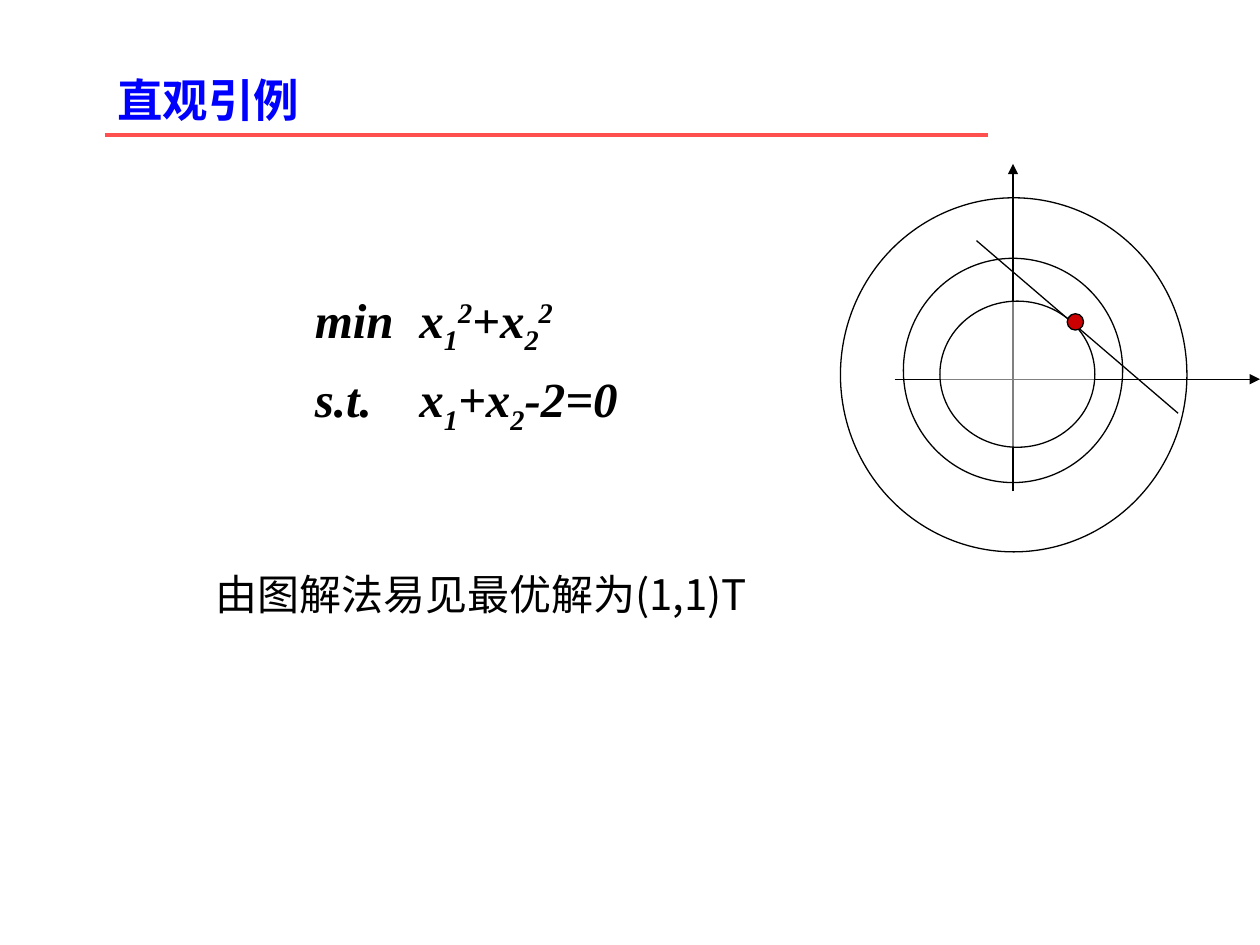
from pptx import Presentation
from pptx import util as u
from pptx.dml.color import RGBColor
from pptx.enum import shapes, text
from pptx.oxml.ns import qn
from lxml import etree

THEME = {
    "cjk": "Noto Sans CJK SC", "math": "Times New Roman",
    "title": "0000FF", "ink": "000000", "rule": "FF5050",
    "ring": "FFFFFF", "optimum": "CC0000",
    "title_size": 26, "math_size": 28, "body_size": 24,
    "thin": 0.75, "thick": 2.25,
}

# Content: formula lines hold (words, baseline percent) pairs
TITLE = "直观引例"
CONCLUSION = "由图解法易见最优解为(1,1)T"
SUB, SUP = -25, 30
FORMULA = [
    [("min\tx", 0), ("1", SUB), ("2", SUP), ("+x", 0), ("2", SUB), ("2", SUP)],
    [("s.t.\tx", 0), ("1", SUB), ("+x", 0), ("2", SUB), ("-2=0", 0)],
]
FORMULA_TAB = 0.83

# Diagram from back to front: ellipses as left, top, width, height
DIAGRAM = [
    ("ring", (6.67, 1.57, 2.75, 2.81)),
    ("ring", (7.17, 2.05, 1.74, 1.78)),
    ("axis", (7.1, 3.01, 10, 3.01)),
    ("axis", (8.04, 3.9, 8.04, 1.3)),
    ("constraint", (7.75, 1.91, 9.35, 3.28)),
    ("ring", (7.46, 2.39, 1.23, 1.16)),
    ("optimum", (8.47, 2.49, 0.13, 0.13)),
]


def colour(name):
    return RGBColor.from_string(THEME[name])


def style(span, face, size, ink="ink", bold=False, italic=False):
    font = span.font
    font.size = u.Pt(THEME[size])
    font.bold, font.italic = bold, italic
    font.color.rgb = colour(ink)
    font.name = THEME[face]
    etree.SubElement(span._r.get_or_add_rPr(), qn("a:ea"), typeface=THEME[face])


def set_frame(box, wrap=True):
    frame = box.text_frame
    frame.word_wrap = wrap
    frame.auto_size = text.MSO_AUTO_SIZE.NONE
    frame.vertical_anchor = text.MSO_ANCHOR.TOP
    frame.margin_left = frame.margin_right = u.Inches(0.1)
    frame.margin_top = frame.margin_bottom = u.Inches(0.05)
    return frame


def add_line(page, ends, ink="ink", weight="thin", arrow=False):
    line = page.shapes.add_connector(
        shapes.MSO_CONNECTOR.STRAIGHT, *map(u.Inches, ends))
    line.line.color.rgb = colour(ink)
    line.line.width = u.Pt(THEME[weight])
    if arrow:
        etree.SubElement(line.line._get_or_add_ln(), qn("a:tailEnd"), type="triangle")
    etree.SubElement(line._element.spPr, qn("a:effectLst"))


def add_ellipse(page, place, fill):
    ellipse = page.shapes.add_shape(
        shapes.MSO_SHAPE.OVAL, *map(u.Inches, place))
    ellipse.shadow.inherit = False
    ellipse.fill.solid()
    ellipse.fill.fore_color.rgb = colour(fill)
    ellipse.line.color.rgb = colour("ink")
    ellipse.line.width = u.Pt(THEME["thin"])
    if fill == "ring":  # half transparent
        shade = ellipse._element.spPr.find(qn("a:solidFill"))[0]
        etree.SubElement(shade, qn("a:alpha"), val="50000")


def add_formula(page):
    box = page.shapes.add_textbox(*map(u.Inches, (2.4, 2.25, 2.91, 1.26)))
    frame = set_frame(box, wrap=False)
    for number, parts in enumerate(FORMULA):
        para = frame.add_paragraph() if number else frame.paragraphs[0]
        para.space_before = u.Pt(7)
        tabs = etree.SubElement(para._p.get_or_add_pPr(), qn("a:tabLst"))
        etree.SubElement(tabs, qn("a:tab"), pos=str(u.Inches(FORMULA_TAB)), algn="l")
        for words, baseline in parts:
            span = para.add_run()
            span.text = words
            style(span, "math", "math_size", bold=True, italic=True)
            if baseline:
                span.font._element.set("baseline", str(baseline * 1000))


def main():
    deck = Presentation()
    deck.slide_width, deck.slide_height = u.Inches(10), u.Inches(7.5)
    page = deck.slides.add_slide(deck.slide_layouts[5])

    # Title and its rule
    title = page.shapes.title
    title.left, title.top, title.width, title.height = map(
        u.Inches, (0.83, 0.52, 1.97, 0.54))
    frame = set_frame(title)
    frame.text = TITLE
    frame.paragraphs[0].alignment = text.PP_ALIGN.LEFT
    style(frame.paragraphs[0].runs[0], "cjk", "title_size", "title", bold=True)
    add_line(page, (0.83, 1.07, 7.84, 1.07), "rule", "thick")

    # Problem and conclusion
    add_formula(page)
    box = page.shapes.add_textbox(*map(u.Inches, (1.61, 4.46, 5.67, 0.5)))
    frame = set_frame(box)
    frame.text = CONCLUSION
    frame.paragraphs[0].space_before = u.Pt(6)
    style(frame.paragraphs[0].runs[0], "cjk", "body_size")

    # Level curves, axes, constraint and optimum
    for kind, place in DIAGRAM:
        if kind in ("ring", "optimum"):
            add_ellipse(page, place, kind)
        else:
            add_line(page, place, arrow=kind == "axis")

    deck.save("out.pptx")


if __name__ == "__main__":
    main()
